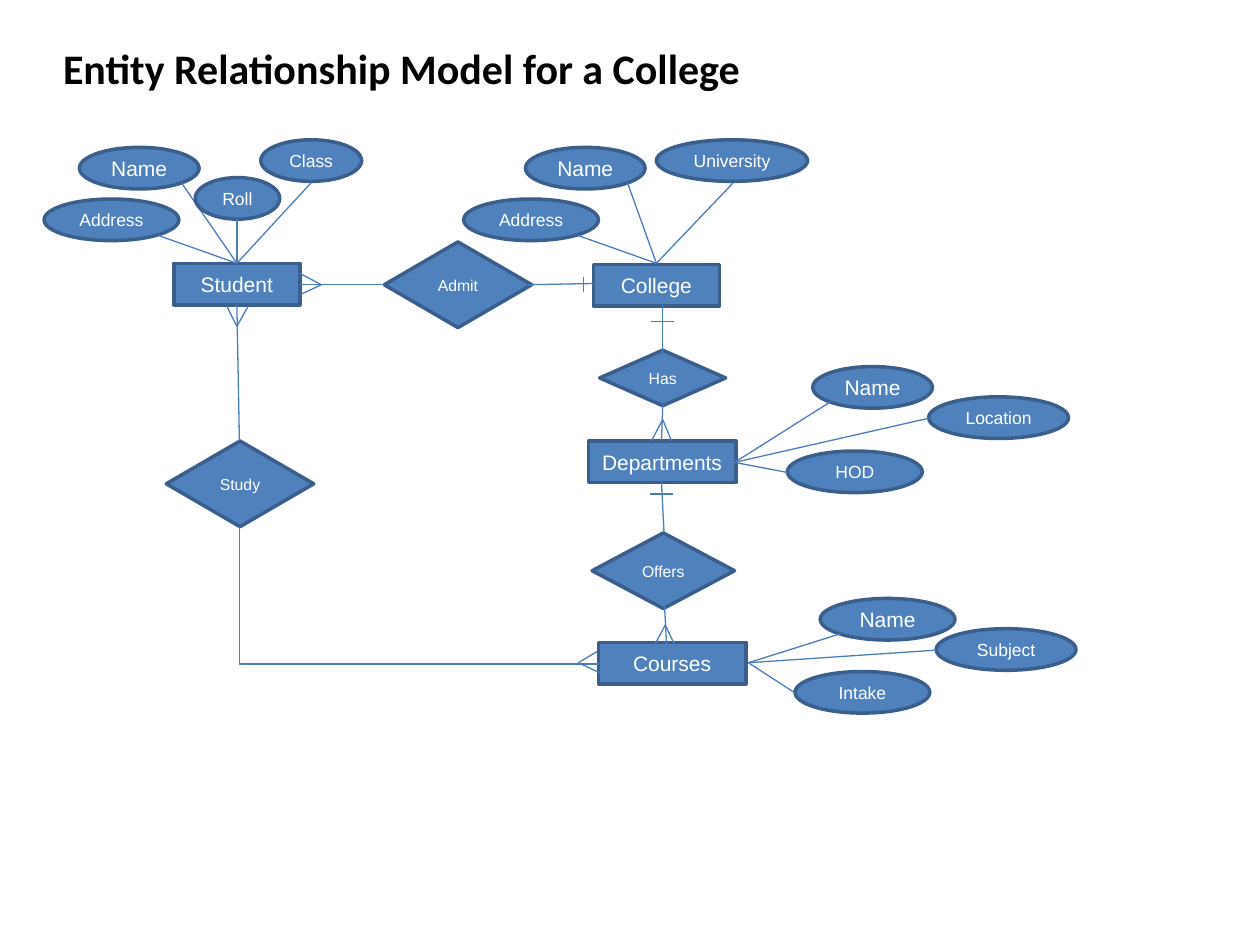
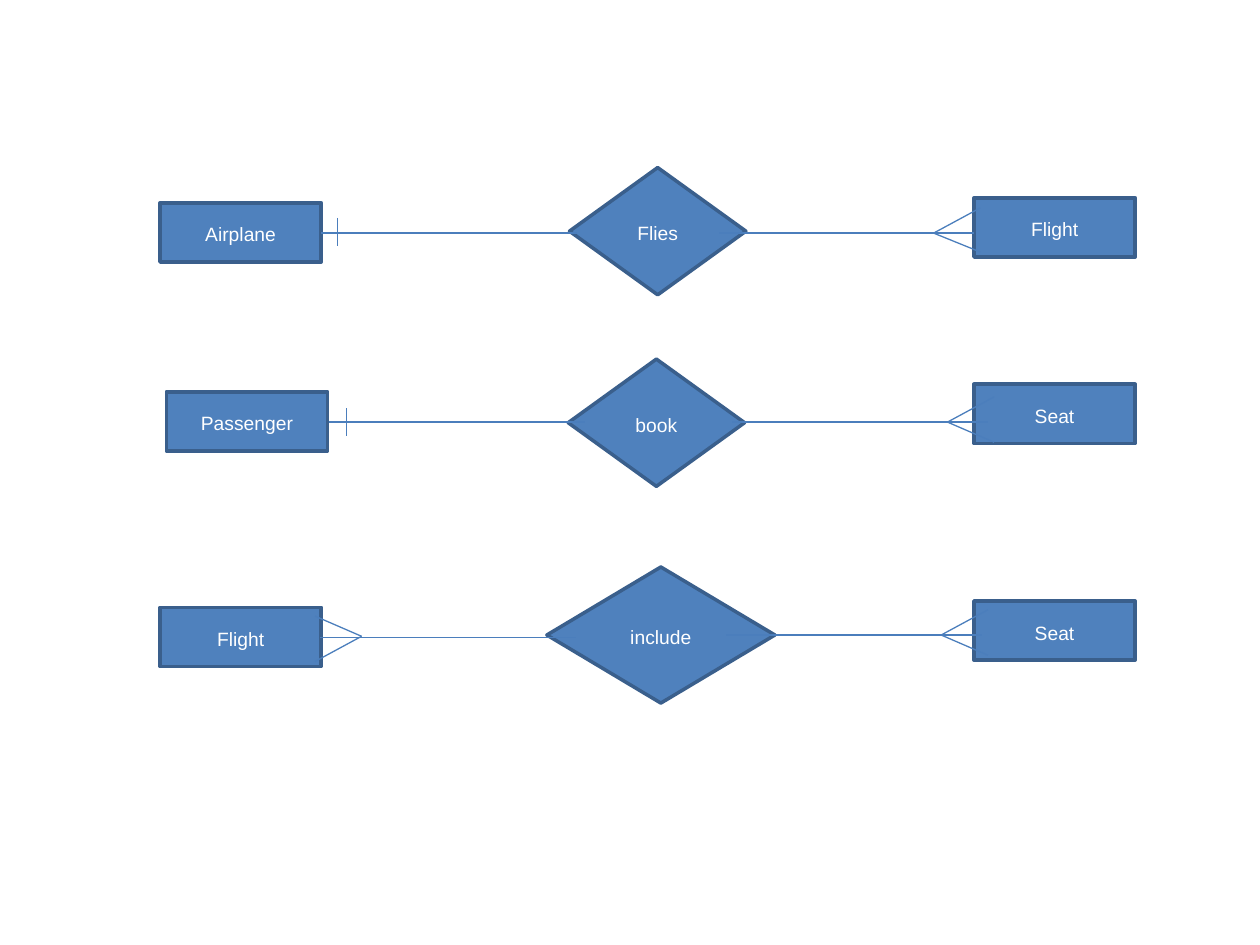
import pptx
import pptx.dml.color
import pptx.enum.shapes
import pptx.enum.text
import pptx.oxml.ns
import pptx.util
from dataclasses import dataclass
from lxml import etree

PX = 9144  # 100 px to the inch
SHAPES = pptx.enum.shapes.MSO_SHAPE
CONNECTORS = pptx.enum.shapes.MSO_CONNECTOR
ALIGN = pptx.enum.text.PP_ALIGN
MIDDLE = pptx.enum.text.MSO_ANCHOR.MIDDLE
qn = pptx.oxml.ns.qn


@dataclass(frozen=True)
class Theme:
    fill: str = "4F81BD"
    outline: str = "3A5F8C"
    link: str = "4B7EBC"
    label: str = "FFFFFF"
    title: str = "000000"
    body_font: str = "Arial"
    title_font: str = "Calibri"
    title_size: int = 24
    entity_size: int = 12
    attribute_size: int = 10
    relation_size: int = 9
    row_size: int = 11
    outline_width: float = 2
    link_width: float = 0.75


theme = Theme()
rgb = pptx.dml.color.RGBColor.from_string


def add_node(slide, kind, text, box, size, line_spacing=1.0):
    """Add a labelled entity, relationship or attribute; box is left, top, width, height."""
    shape = slide.shapes.add_shape(kind, *(value * PX for value in box))
    shape.shadow.inherit = False
    shape.fill.solid()
    shape.fill.fore_color.rgb = rgb(theme.fill)
    shape.line.color.rgb = rgb(theme.outline)
    shape.line.width = pptx.util.Pt(theme.outline_width)
    frame = shape.text_frame
    frame.margin_left = frame.margin_right = frame.margin_top = frame.margin_bottom = 0
    frame.word_wrap = True
    frame.vertical_anchor = MIDDLE
    frame.text = text
    paragraph = frame.paragraphs[0]
    paragraph.alignment = ALIGN.CENTER
    paragraph.line_spacing = line_spacing
    font = paragraph.runs[0].font
    font.name = theme.body_font
    font.size = pptx.util.Pt(size)
    font.color.rgb = rgb(theme.label)


def add_link(slide, start, end, kind=CONNECTORS.STRAIGHT):
    connector = slide.shapes.add_connector(kind, *(value * PX for value in (*start, *end)))
    connector.line.color.rgb = rgb(theme.link)
    connector.line.width = pptx.util.Pt(theme.link_width)
    etree.SubElement(connector._element.spPr, qn("a:effectLst"))
    return connector


presentation = pptx.Presentation()
presentation.slide_width = 1000 * PX
presentation.slide_height = 750 * PX

# College model
college_slide = presentation.slides.add_slide(presentation.slide_layouts[5])
title = college_slide.shapes.title
title.left, title.top, title.width, title.height = 50 * PX, 30 * PX, 900 * PX, 53 * PX
frame = title.text_frame
frame.text = "Entity Relationship Model for a College"
frame.auto_size = pptx.enum.text.MSO_AUTO_SIZE.NONE
frame.margin_left = frame.margin_right = frame.margin_top = frame.margin_bottom = 0
frame.vertical_anchor = MIDDLE
paragraph = frame.paragraphs[0]
paragraph.alignment = ALIGN.LEFT
paragraph.line_spacing = 0.9
font = paragraph.runs[0].font
font.name = theme.title_font
font.size = pptx.util.Pt(theme.title_size)
font.bold = True
font.color.rgb = rgb(theme.title)

NODE_HEIGHT = 33
entities = [
    ("Student", 138, 209, 100),
    ("College", 471, 210, 100),
    ("Departments", 467, 350, 117),
    ("Courses", 475, 510, 117),
]
for name, left, top, width in entities:
    add_node(college_slide, SHAPES.RECTANGLE, name, (left, top, width, NODE_HEIGHT), theme.entity_size)

relationships = [
    ("Admit", (305, 192, 117, 68)),
    ("Has", (476, 278, 100, 44)),
    ("Offers", (470, 423, 113, 60)),
    ("Study", (132, 350, 117, 68)),
]
for name, box in relationships:
    add_node(college_slide, SHAPES.DIAMOND, name, box, theme.relation_size)

# Each entity's link point, then its attributes: name, left, top, width, link end
attribute_groups = [
    ((521, 209), [
        ("Name", 417, 117, 95, (498, 145)),
        ("Address", 368, 158, 107, (459, 187)),
        ("University", 521, 111, 120, (582, 145)),
    ]),
    ((188, 209), [
        ("Name", 63, 117, 95, (144, 145)),
        ("Address", 35, 158, 107, (126, 187)),
        ("Roll", 155, 141, 67, (188, 174)),
        ("Class", 207, 111, 80, (247, 145)),
    ]),
    ((583, 367), [
        ("Name", 645, 291, 95, (659, 319)),
        ("HOD", 625, 358, 107, (625, 375)),
        ("Location", 737, 315, 111, (737, 332)),
    ]),
    ((594, 526), [
        ("Name", 651, 475, 107, (667, 503)),
        ("Intake", 631, 533, 107, (631, 550)),
        ("Subject", 743, 499, 111, (743, 516)),
    ]),
]
for hub, attributes in attribute_groups:
    for name, left, top, width, link_end in attributes:
        size = theme.entity_size if name == "Name" else theme.attribute_size
        add_node(college_slide, SHAPES.OVAL, name, (left, top, width, NODE_HEIGHT), size)
        add_link(college_slide, hub, link_end)

relationship_links = [
    ((238, 226), (305, 226)),
    ((419, 226), (471, 225)),
    ((526, 321), (525, 350)),
    ((526, 283), (526, 237)),
    ((525, 383), (527, 422)),
    ((527, 472), (529, 511)),
    ((188, 242), (190, 350)),
]
one_marks = [
    ((463, 220), (463, 232)),
    ((517, 255), (535, 255)),
    ((516, 392), (534, 392)),
]
for start, end in relationship_links + one_marks:
    add_link(college_slide, start, end)

# Tip and the two prong ends of each crow's foot
crow_feet = [
    ((255, 226), (238, 217), (238, 234)),
    ((526, 333), (517, 350), (533, 350)),
    ((528, 496), (519, 513), (536, 513)),
    ((459, 526), (474, 517), (476, 534)),
    ((188, 259), (180, 243), (197, 243)),
]
for tip, *prongs in crow_feet:
    for prong in prongs:
        add_link(college_slide, prong, tip)

# One right-angle bend, down from Study and across to Courses
study_link = add_link(college_slide, (387, 330), (278, 615), CONNECTORS.ELBOW)
properties = study_link._element.spPr
properties.find(qn("a:xfrm")).set("rot", str(270 * 60000))
properties.find(qn("a:prstGeom")).set("prst", "bentConnector2")

# Airline relationships
airline_slide = presentation.slides.add_slide(presentation.slide_layouts[6])
RECT_WIDTH, RECT_HEIGHT = 128, 47
RIGHT_LEFT = 773
PRONG_LENGTH = 37

# Left entity, its corner; relationship, its box; right entity, its top
airline_rows = [
    ("Airplane", (127, 161), "Flies", (452, 133, 140, 101), "Flight", 157),
    ("Passenger", (132, 311), "book", (451, 285, 140, 101), "Seat", 305),
    ("Flight", (127, 482), "include", (434, 450, 181, 108), "Seat", 477),
]
for left_name, corner, relation, diamond, right_name, right_top in airline_rows:
    for kind, name, box in [
        (SHAPES.RECTANGLE, left_name, (*corner, RECT_WIDTH, RECT_HEIGHT)),
        (SHAPES.DIAMOND, relation, diamond),
        (SHAPES.RECTANGLE, right_name, (RIGHT_LEFT, right_top, RECT_WIDTH, RECT_HEIGHT)),
    ]:
        add_node(airline_slide, kind, name, box, theme.row_size, 1.15)

airline_links = [
    ((458, 185), (255, 185)),
    ((773, 185), (571, 185)),
    ((464, 335), (261, 335)),
    ((784, 335), (581, 335)),
    ((457, 506), (254, 506)),
    ((779, 504), (576, 504)),
]
airline_one_marks = [((268, 173), (268, 195)), ((275, 324), (275, 346))]
for start, end in airline_links + airline_one_marks:
    add_link(airline_slide, start, end)

# Tip, direction and the heights of the two prongs
airline_crow_feet = [
    ((741, 185), 1, (-20, 15)),
    ((752, 335), 1, (-20, 16)),
    ((747, 504), 1, (-20, 16)),
    ((287, 505), -1, (-16, 20)),
]
for (x, y), direction, rises in airline_crow_feet:
    for rise in rises:
        add_link(airline_slide, (x, y), (x + direction * PRONG_LENGTH, y + rise))

presentation.save("out.pptx")
